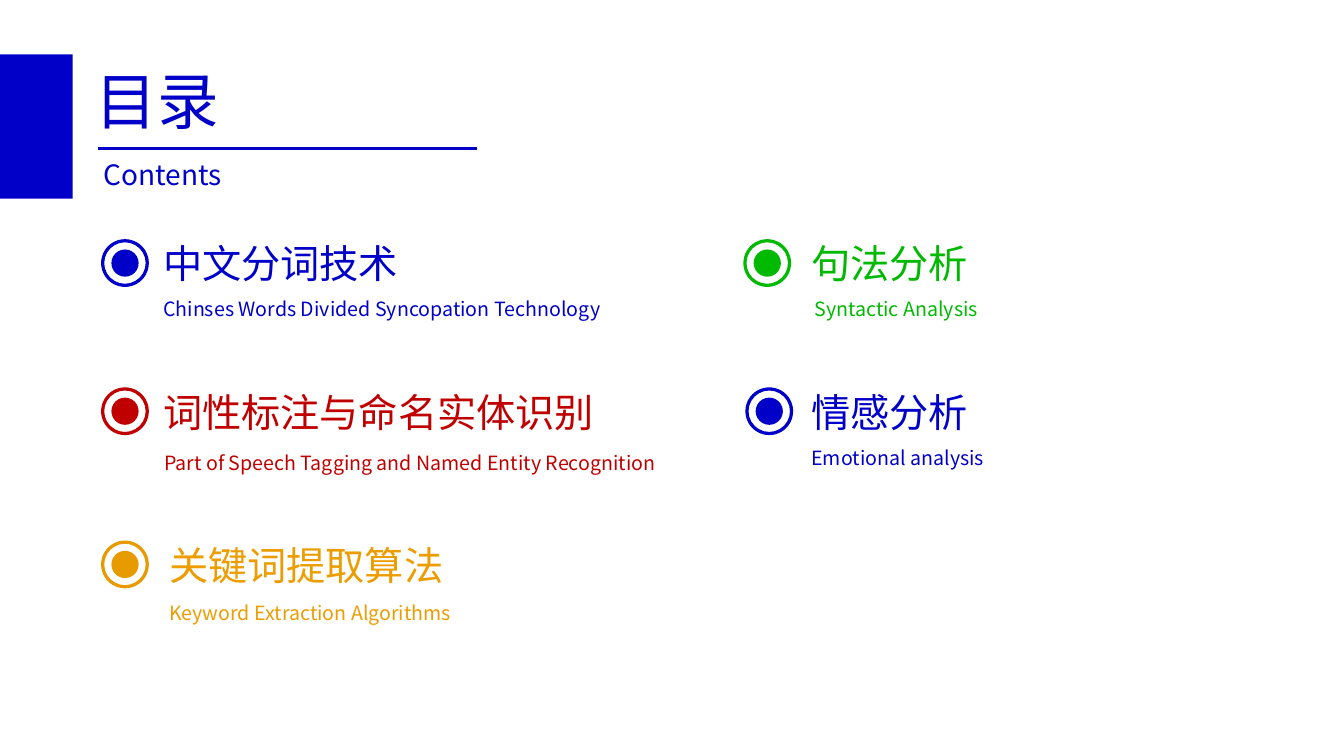
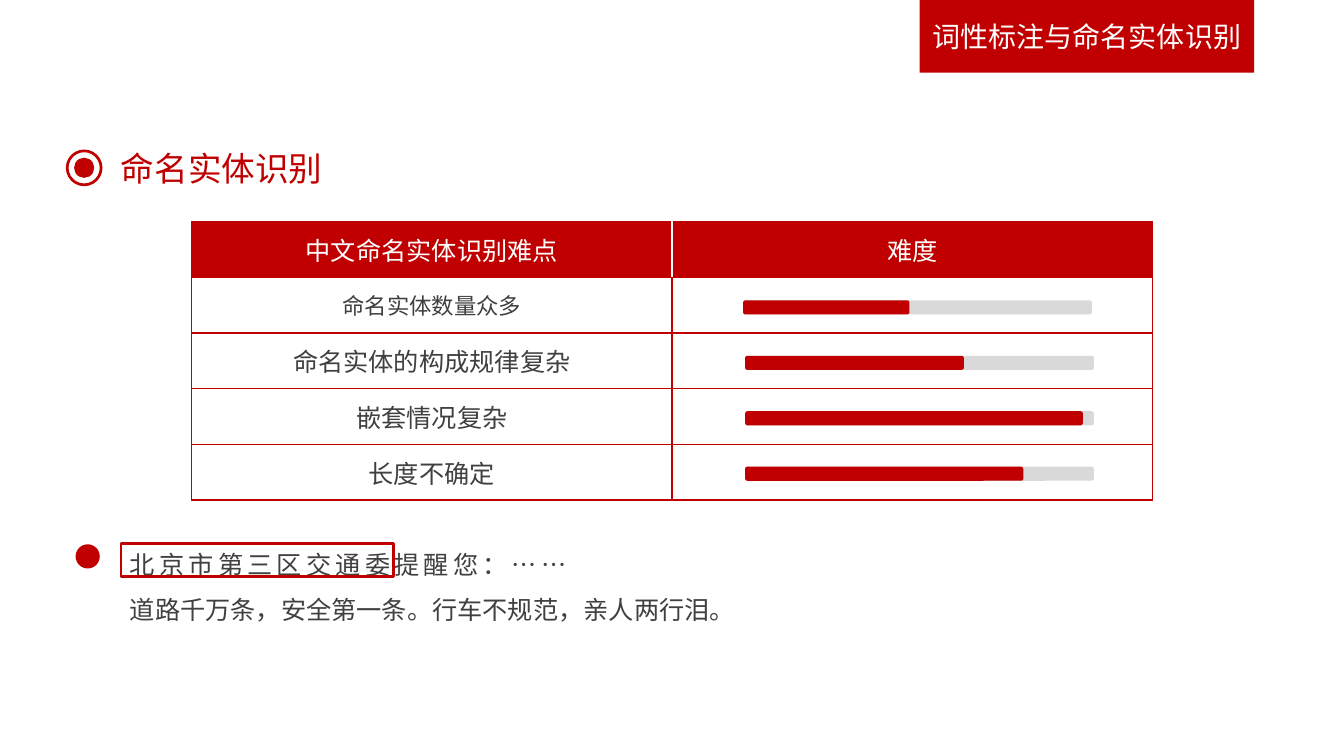
"""Builds the contents slide and the named entity slide."""
from lxml import etree
from pptx import Presentation
from pptx.dml.color import RGBColor
from pptx.enum import shapes, text
from pptx.oxml.ns import qn
from pptx.util import Inches, Pt

BLUE = RGBColor(0x00, 0x00, 0xC9)
RED = RGBColor(0xC0, 0x00, 0x00)
GOLD = RGBColor(0xE8, 0x9A, 0x01)
AMBER = RGBColor(0xEC, 0x9D, 0x01)
GREEN = RGBColor(0x00, 0xB9, 0x00)
GRAY = RGBColor(0xD9, 0xD9, 0xD9)
DARK = RGBColor(0x40, 0x40, 0x40)
WHITE = RGBColor(0xFF, 0xFF, 0xFF)
FONT = "Noto Sans CJK SC"
KIND = shapes.MSO_SHAPE
ALIGN = text.PP_ALIGN


class Deck:
    def __init__(self):
        self.file = Presentation()
        self.file.slide_width = Inches(13.33)
        self.file.slide_height = Inches(7.5)
        self.slide = None

    def page(self):
        self.slide = self.file.slides.add_slide(self.file.slide_layouts[6])

    def style(self, para, size, color, align=None, space=0):
        para.alignment = align
        font = para.font
        font.size = Pt(size)
        font.name = FONT
        font.color.rgb = color
        props = para._p.pPr.find(qn("a:defRPr"))
        if space:
            props.set("spc", str(space * 100))
        etree.SubElement(props, qn("a:ea")).set("typeface", FONT)

    def shape(self, kind, x, y, w, h, fill=None, line=None, weight=1):
        item = self.slide.shapes.add_shape(
            kind, Inches(x), Inches(y), Inches(w), Inches(h))
        item.shadow.inherit = False
        if fill is None:
            item.fill.background()
        else:
            item.fill.solid()
            item.fill.fore_color.rgb = fill
        if line is None:
            item.line.fill.background()
        else:
            item.line.color.rgb = line
            item.line.width = Pt(weight)
        return item

    def rule(self, x, y, end, color):
        line = self.slide.shapes.add_connector(
            shapes.MSO_CONNECTOR.STRAIGHT,
            Inches(x), Inches(y), Inches(end), Inches(y))
        line.line.color.rgb = color
        line.line.width = Pt(2)
        etree.SubElement(line._element.spPr, qn("a:effectLst"))

    def label(self, x, y, w, h, words, size, color, wrap=False, align=None):
        box = self.slide.shapes.add_textbox(
            Inches(x), Inches(y), Inches(w), Inches(h))
        frame = box.text_frame
        frame.word_wrap = wrap
        frame.auto_size = text.MSO_AUTO_SIZE.SHAPE_TO_FIT_TEXT
        frame.text = words
        self.style(frame.paragraphs[0], size, color, align)
        return frame

    def ring(self, x, y, size, dot, color):
        gap = (size - dot) / 2
        self.shape(KIND.OVAL, x + gap, y + gap, dot, dot, color)
        donut = self.shape(KIND.DONUT, x, y, size, size, color, color)
        donut.adjustments[0] = 0.038

    def entry(self, x, y, left, title, sub, size, color, ink, wrap=False):
        self.ring(x, y, 0.46, 0.27, color)
        wide = 0.2 + len(title) * 28 / 72
        self.label(left, y - 0.05, wide, 0.57, title, 28, ink)
        across, down, width = size
        self.label(across, y + down, width, 0.34, sub, 14, ink, wrap)

    def cell(self, cell, words, size, color, fill, sides, alpha=None):
        cell.fill.solid()
        cell.fill.fore_color.rgb = fill
        props = cell._tc.tcPr
        if alpha:
            tint = props.find(qn("a:solidFill"))[0]
            etree.SubElement(tint, qn("a:alpha")).set("val", str(alpha * 1000))
        for spot, (side, edge) in enumerate(zip("LRTB", sides)):
            line = etree.Element(qn("a:ln" + side), w=str(Pt(1)))
            paint = etree.SubElement(line, qn("a:solidFill"))
            etree.SubElement(paint, qn("a:srgbClr")).set("val", str(edge))
            props.insert(spot, line)
        cell.vertical_anchor = text.MSO_ANCHOR.MIDDLE
        if words:
            cell.text = words
            self.style(cell.text_frame.paragraphs[0], size, color, ALIGN.CENTER)

    def grid(self, x, y, w, h, heads, rows):
        table = self.slide.shapes.add_table(
            len(rows) + 1, len(heads),
            Inches(x), Inches(y), Inches(w), Inches(h)).table
        table.first_row = table.horz_banding = False
        edges = ((RED, WHITE, RED, RED), (WHITE, RED, RED, RED))
        for col, (head, sides) in enumerate(zip(heads, edges)):
            self.cell(table.cell(0, col), head, 18, WHITE, RED, sides)
            for row, (words, size) in enumerate(rows, 1):
                self.cell(table.cell(row, col), "" if col else words,
                          size, DARK, WHITE, [RED] * 4, 48)

    def bar(self, x, y, part):
        for wide, color in ((3.46, GRAY), (part, RED)):
            self.shape(KIND.ROUNDED_RECTANGLE, x, y, wide, 0.14, color)


def contents(deck):
    deck.page()
    deck.shape(KIND.RECTANGLE, 0, 0.54, 0.72, 1.43, BLUE)
    deck.label(0.85, 0.58, 1.44, 0.84, "目录", 44, BLUE)
    deck.rule(0.97, 1.47, 4.73, BLUE)
    deck.label(0.93, 1.51, 1.41, 0.44, "Contents", 20, BLUE)
    deck.entry(1.01, 2.38, 1.52, "中文分词技术",
               "Chinses Words Divided Syncopation Technology",
               (1.52, 0.52, 4.72), BLUE, BLUE)
    deck.entry(1.01, 3.85, 1.52, "词性标注与命名实体识别",
               "Part of Speech Tagging and Named Entity Recognition",
               (1.53, 0.57, 5.39), RED, RED, True)
    deck.entry(1.01, 5.37, 1.58, "关键词提取算法",
               "Keyword Extraction Algorithms",
               (1.58, 0.54, 3.11), GOLD, AMBER)
    deck.entry(7.38, 2.38, 7.95, "句法分析", "Syntactic Analysis",
               (7.98, 0.52, 1.86), GREEN, GREEN)
    deck.entry(7.4, 3.85, 7.95, "情感分析", "Emotional analysis",
               (7.95, 0.52, 1.94), BLUE, BLUE)


def entities(deck):
    deck.page()
    tab = deck.shape(KIND.RECTANGLE, 9.12, 0, 3.32, 0.72, RED)
    frame = tab.text_frame
    frame.text = "词性标注与命名实体识别"
    frame.vertical_anchor = text.MSO_ANCHOR.MIDDLE
    deck.style(frame.paragraphs[0], 20, WHITE, ALIGN.CENTER)
    deck.ring(0.66, 1.49, 0.35, 0.2, RED)
    deck.label(1.1, 1.42, 2.22, 0.5, "命名实体识别", 24, RED)
    deck.grid(1.9, 2.2, 9.53, 2.76, ("中文命名实体识别难点", "难度"),
              (("命名实体数量众多", 16), ("命名实体的构成规律复杂", 18),
               ("嵌套情况复杂", 18), ("长度不确定", 18)))
    deck.shape(KIND.OVAL, 0.75, 5.4, 0.24, 0.24, RED)
    frame = deck.label(1.19, 5.25, 6.26, 1.01, "", 18, DARK)
    frame.text = ("北京市第三区交通委提醒您：……\n"
                  "道路千万条，安全第一条。行车不规范，亲人两行泪。")
    for para, space in zip(frame.paragraphs, (3, 0)):
        para.line_spacing = 1.5
        deck.style(para, 18, DARK, ALIGN.JUSTIFY, space)
    deck.shape(KIND.RECTANGLE, 1.2, 5.39, 2.7, 0.33, None, RED, 2)
    for row, part in enumerate((1.65, 2.17, 3.35, 2.76)):
        deck.bar(7.39 if row else 7.37, 2.98 + row * 0.55, part)


def main():
    deck = Deck()
    contents(deck)
    entities(deck)
    deck.file.save("out.pptx")


if __name__ == "__main__":
    main()
